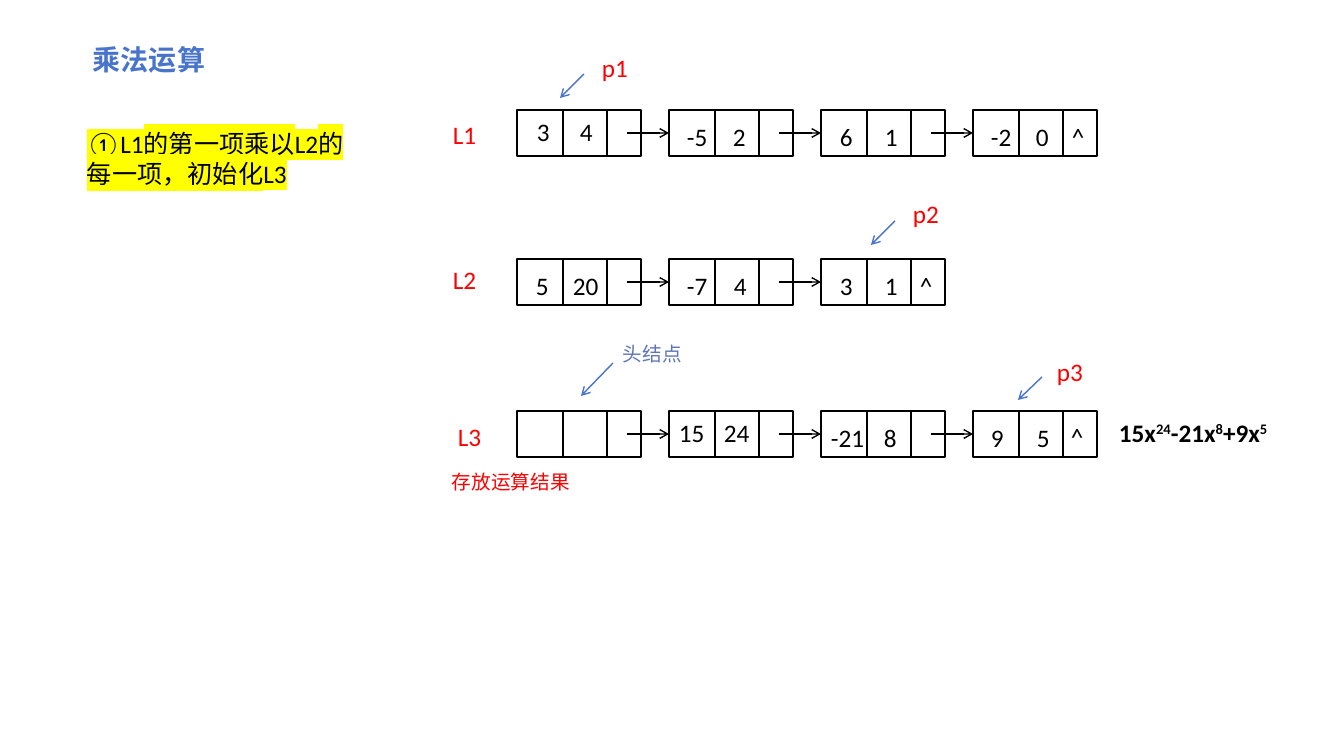
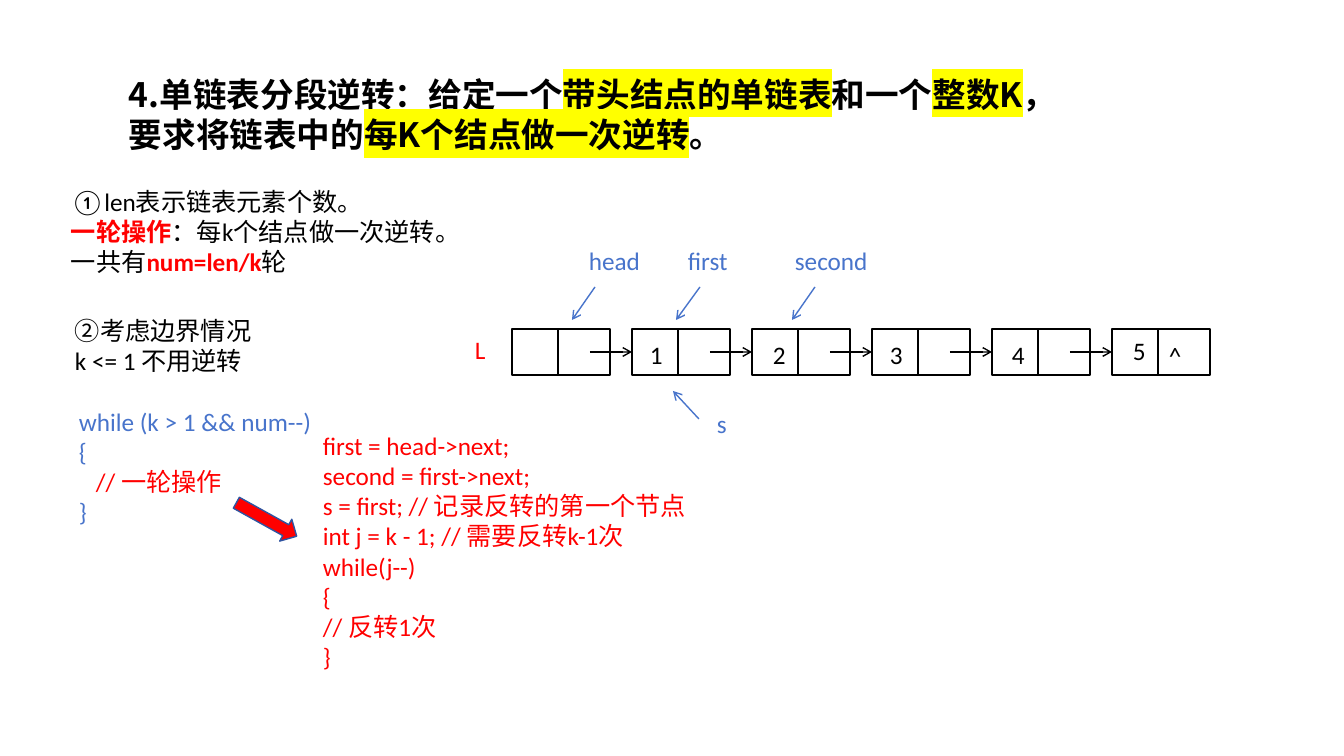
from lxml import etree
from pptx import Presentation
from pptx.dml.color import RGBColor
from pptx.enum.shapes import MSO_CONNECTOR, MSO_SHAPE
from pptx.oxml.ns import qn
from pptx.util import Pt

STRAIGHT = MSO_CONNECTOR.STRAIGHT
RECT = MSO_SHAPE.RECTANGLE
ARROW = MSO_SHAPE.RIGHT_ARROW

PX = 914400 / 100.8
HUES = {"black": "000000", "red": "FF0000", "blue": "4874CB",
        "slate": "5E75BA", "navy": "2E54A1", "yellow": "FFFF00"}
RGB = {name: RGBColor.from_string(code) for name, code in HUES.items()}
LATIN, HAN = "Calibri", "Noto Sans CJK SC"


def write(slide, x, y, w, h, lines, hue="black", size=18, bold=False, face=LATIN):
    """Each line is a string or a list of (text, mark) runs."""
    box = slide.shapes.add_textbox(*[round(v * PX) for v in (x, y, w, h)])
    frame = box.text_frame
    frame.word_wrap = True
    for i, line in enumerate(lines):
        para = frame.paragraphs[0] if i == 0 else frame.add_paragraph()
        para.line_spacing = Pt(size * 1.2)
        para.font.size = Pt(size)
        para.font.bold = bold
        para.font.name = face
        para.font.color.rgb = RGB[hue]
        base = para._p.pPr.find(qn("a:defRPr"))
        etree.SubElement(base, qn("a:ea")).set("typeface", HAN)
        for text, mark in [(line, "")] if isinstance(line, str) else line:
            run = para.add_run()
            run.text = text
            if mark in ("red", "key"):
                run.font.color.rgb = RGB["red"]
            if mark == "key":
                run.font.bold = True
            if mark == "sup":
                run._r.get_or_add_rPr().set("baseline", "30000")
            if mark == "glow":
                glow = etree.SubElement(run._r.get_or_add_rPr(), qn("a:highlight"))
                etree.SubElement(glow, qn("a:srgbClr")).set("val", HUES["yellow"])


def draw(slide, x1, y1, x2, y2, hue="black", head=False):
    """Draw a thin line, with an open arrowhead at its end if asked."""
    line = slide.shapes.add_connector(
        STRAIGHT, *[round(v * PX) for v in (x1, y1, x2, y2)])
    line.line.color.rgb = RGB[hue]
    line.line.width = Pt(1)
    if head:
        etree.SubElement(line.line._get_or_add_ln(), qn("a:tailEnd")).set("type", "arrow")
    etree.SubElement(line._element.spPr, qn("a:effectLst"))
    return line


deck = Presentation()
deck.slide_width = round(1344 * PX)
deck.slide_height = round(756 * PX)
blank = deck.slide_layouts[6]
mult = deck.slides.add_slide(blank)
turn = deck.slides.add_slide(blank)

# Linked lists: each node holds (text, left offset, top offset)
HIGH = 46
wide = {"slide": mult, "left": 517, "step": 152, "width": 124,
        "cuts": (46, 90), "link": 110}
slim = {"slide": turn, "left": 512, "step": 120, "width": 98,
        "cuts": (46,), "link": 78}
chains = [
    (wide, 110, [
        [("3", 10, 1), ("4", 53, 1)],
        [("-5", 8, 6), ("2", 54, 6)],
        [("6", 9, 6), ("1", 54, 6)],
        [("-2", 8, 6), ("0", 53, 6), ("^", 89, 6)]]),
    (wide, 259, [
        [("5", 9, 6), ("20", 46, 6)],
        [("-7", 8, 6), ("4", 55, 6)],
        [("3", 9, 6), ("1", 54, 6), ("^", 89, 6)]]),
    (wide, 411, [
        [],
        [("15", 0, 1), ("24", 45, 1)],
        [("-21", 0, 6), ("8", 53, 6)],
        [("9", 8, 6), ("5", 54, 6), ("^", 88, 5)]]),
    (slim, 329, [
        [],
        [("1", 8, 5)],
        [("2", 11, 5)],
        [("3", 8, 5)],
        [("4", 10, 5)],
        [("5", 11, 1), ("^", 47, 6)]]),
]
for kind, top, nodes in chains:
    slide = kind["slide"]
    for i, cells in enumerate(nodes):
        left = kind["left"] + i * kind["step"]
        node = slide.shapes.add_shape(
            RECT, *[round(v * PX) for v in (left, top, kind["width"], HIGH)])
        node.shadow.inherit = False
        node.fill.background()
        node.line.color.rgb = RGB["black"]
        node.line.width = Pt(1)
        for cut in kind["cuts"]:
            draw(slide, left + cut, top, left + cut, top + HIGH)
        if i:
            mid = top + HIGH // 2
            start = left - kind["step"] + kind["link"]
            link = draw(slide, start, mid, left, mid, head=True)
            link.end_connect(node, 1)
        for text, dx, dy in cells:
            write(slide, left + dx, top + dy, 60, 40, [text])

# Pointer arrows
for slide, x1, y1, x2, y2 in [
        (mult, 584, 74, 560, 98), (mult, 895, 221, 871, 245),
        (mult, 1042, 377, 1018, 400), (mult, 613, 363, 581, 396),
        (turn, 595, 287, 572, 320), (turn, 700, 287, 676, 320),
        (turn, 815, 287, 792, 320), (turn, 699, 419, 673, 391)]:
    draw(slide, x1, y1, x2, y2, "blue", True)

# Labels of lists and pointers
for slide, x, y, text, hue, size in [
        (mult, 443, 114, "L1", "red", 18),
        (mult, 443, 259, "L2", "red", 18),
        (mult, 448, 416, "L3", "red", 18),
        (mult, 592, 47, "p1", "red", 18),
        (mult, 903, 193, "p2", "red", 18),
        (mult, 1047, 351, "p3", "red", 18),
        (mult, 442, 465, "存放运算结果", "red", 14),
        (mult, 613, 337, "头结点", "slate", 14),
        (turn, 465, 329, "L", "red", 18),
        (turn, 579, 240, "head", "blue", 18),
        (turn, 678, 240, "first", "blue", 18),
        (turn, 785, 240, "second", "blue", 18),
        (turn, 707, 403, "s", "blue", 18)]:
    write(slide, x, y, 152, 40, [text], hue, size)

# Slide 1: title, step and result
write(mult, 83, 38, 146, 41, ["乘法运算"], "blue", 20, True)
write(mult, 77, 123, 299, 72, [[("①L1的第一项乘以L2的每一项，初始化L3", "glow")]])
write(mult, 1109, 412, 221, 52, [[
    ("15x", ""), ("24", "sup"), ("-21x", ""), ("8", "sup"),
    ("+9x", ""), ("5", "sup")]], bold=True)

# Slide 2: task
write(turn, 119, 69, 974, 104, [[
    ("4.单链表分段逆转：给定一个", ""), ("带头结点的单链表", "glow"),
    ("和一个", ""), ("整数K", "glow"), ("，要求将链表中的", ""),
    ("每K个结点做一次逆转", "glow"), ("。", "")]], size=24, bold=True, face=HAN)

# Slide 2: notes
write(turn, 61, 181, 420, 117, [
    "①len表示链表元素个数。",
    [("一轮操作", "key"), ("：每k个结点做一次逆转。", "")],
    [("一共有", ""), ("num=len/k", "key"), ("轮", "")]])
write(turn, 65, 310, 317, 79, ["②考虑边界情况", "k <= 1 不用逆转"])

# Slide 2: code
write(turn, 69, 401, 446, 133, [
    "while (k > 1 && num--)",
    "{",
    [("   ", ""), ("// 一轮操作", "red")],
    "}"], "blue")
write(turn, 313, 425, 392, 254, [
    "first = head->next;",
    "second = first->next;",
    "s = first; // 记录反转的第一个节点",
    "int j = k - 1; // 需要反转k-1次",
    "while(j--)",
    "{",
    "// 反转1次",
    "}"], "red")
arrow = turn.shapes.add_shape(ARROW, *[round(v * PX) for v in (232, 507, 69, 25)])
arrow.shadow.inherit = False
arrow.rotation = 29
arrow.fill.solid()
arrow.fill.fore_color.rgb = RGB["red"]
arrow.line.color.rgb = RGB["navy"]
arrow.line.width = Pt(1)

deck.save("out.pptx")
